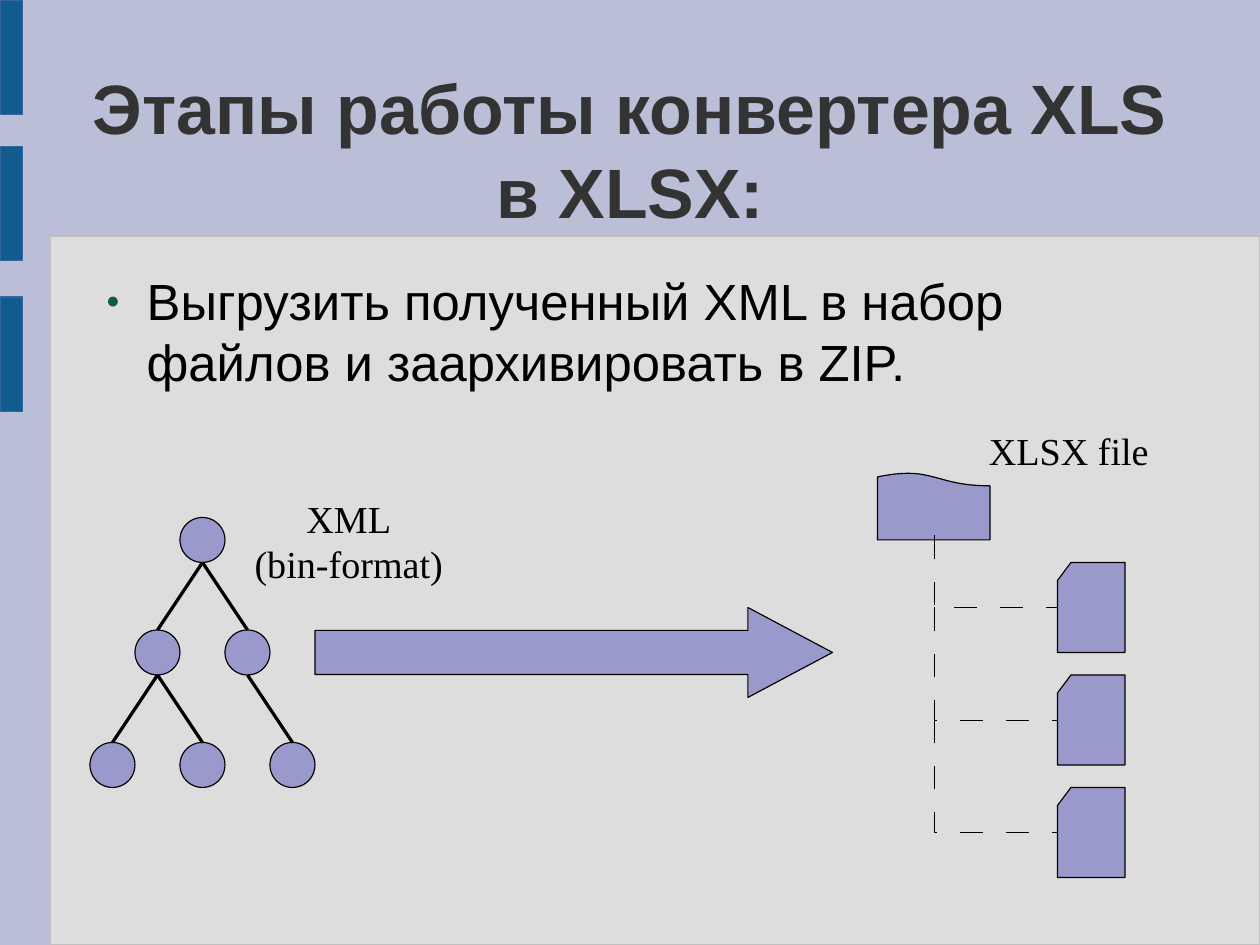
from dataclasses import dataclass

from lxml.etree import SubElement
from pptx import Presentation
from pptx.dml.color import RGBColor
from pptx.enum.shapes import MSO_CONNECTOR as Connector, MSO_SHAPE as Preset
from pptx.enum.text import MSO_ANCHOR as Anchor, MSO_AUTO_SIZE as AutoSize, PP_ALIGN as Align
from pptx.oxml.ns import qn
from pptx.util import Cm, Pt

TITLE = "Этапы работы конвертера XLS в XLSX:"
STEP = "Выгрузить полученный XML в набор файлов и заархивировать в ZIP."

# Lengths are in centimetres: left, top, width, height
TITLE_BOX = (2.06, 1.55, 23.9, 3.5)
STEP_BOX = (2.06, 6, 23.9, 3.8)
PANEL = (1.12, 5.26, 26.88, 15.74)
SIDE_BARS = [(0, top, 0.5, 2.54) for top in (0, 3.25, 6.6)]
LABELS = [
    ("XML\v(bin-format)", (5, 11, 5.5, 2.3)),
    ("XLSX file", (21, 9.5, 5.5, 1.95)),
]
ARROW = (7, 13.5, 11.5, 2)
ARCHIVE = (19.5, 10.5, 2.5, 1.5)
FILE_LEFT, FILE_TOP, FILE_STEP, FILE_COUNT = 23.5, 12.5, 2.5, 3
FILE_WIDTH, FILE_HEIGHT = 1.5, 2
TRUNK_TOP = 11.9

# Tree: node name -> (column, level); columns are 1 cm apart
NODES = {"root": (2, 0), "left": (1, 1), "right": (3, 1),
         "leaf 1": (0, 2), "leaf 2": (2, 2), "leaf 3": (4, 2)}
EDGES = [("root", "left"), ("root", "right"), ("left", "leaf 1"),
         ("left", "leaf 2"), ("right", "leaf 3")]
TREE_LEFT, TREE_TOP, LEVEL_STEP, NODE_SIZE = 2, 11.5, 2.5, 1


@dataclass(frozen=True)
class Theme:
    background: str = "BABED6"
    panel: str = "DDDDDD"
    panel_line: str = "C0C0C0"
    bar: str = "125C8D"
    bar_line: str = "3465A4"
    figure: str = "9999CC"
    ink: str = "000000"
    title: str = "333333"
    bullet: str = "0E594D"
    sans: str = "Arial"
    serif: str = "Times New Roman"
    title_size: int = 44
    body_size: int = 32
    label_size: int = 24
    hairline: float = 0
    dashed_line: float = 0.25


THEME = Theme()


def color(code):
    return RGBColor.from_string(code)


def place(shape, box):
    shape.left, shape.top, shape.width, shape.height = map(Cm, box)


def add_figure(slide, preset, box, fill=THEME.figure, line=THEME.ink):
    shape = slide.shapes.add_shape(preset, *map(Cm, box))
    shape.shadow.inherit = False
    shape.fill.solid()
    shape.fill.fore_color.rgb = color(fill)
    shape.line.color.rgb = color(line)
    shape.line.width = Pt(THEME.hairline)
    return shape


def add_line(slide, kind, start, end, width=THEME.hairline):
    line = slide.shapes.add_connector(kind, *map(Cm, (*start, *end)))
    line.line.color.rgb = color(THEME.ink)
    line.line.width = Pt(width)
    SubElement(line._element.spPr, qn("a:effectLst"))
    return line


def add_dashed_elbow(slide, start, end):
    """Run down from start, then right to end."""
    middle_x, middle_y = (start[0] + end[0]) / 2, (start[1] + end[1]) / 2
    half_run, half_drop = (end[0] - start[0]) / 2, (end[1] - start[1]) / 2
    # The frame is laid out before its quarter turn, so run and drop swap
    elbow = add_line(slide, Connector.ELBOW,
                     (middle_x + half_drop, middle_y - half_run),
                     (middle_x - half_drop, middle_y + half_run), THEME.dashed_line)
    properties = elbow._element.spPr
    properties.find(qn("a:xfrm")).set("rot", "16200000")
    properties.find(qn("a:prstGeom")).set("prst", "bentConnector2")
    dashes = SubElement(properties.find(qn("a:ln")), qn("a:custDash"))
    SubElement(dashes, qn("a:ds"), d="5700000", sp="5700000")


def add_bullet(paragraph):
    properties = paragraph._p.get_or_add_pPr()
    properties.set("marL", str(Cm(1.2)))
    properties.set("indent", str(Cm(-0.9)))
    bullet_color = SubElement(properties, qn("a:buClr"))
    SubElement(bullet_color, qn("a:srgbClr"), val=THEME.bullet)
    SubElement(properties, qn("a:buSzPct"), val="45000")
    SubElement(properties, qn("a:buChar"), char="●")


def write(shape, text, font_name, size, ink=THEME.ink, bold=False,
          align=Align.CENTER, anchor=Anchor.TOP, bullet=False):
    frame = shape.text_frame
    frame.word_wrap = True
    frame.auto_size = AutoSize.NONE
    frame.vertical_anchor = anchor
    frame.margin_left = frame.margin_right = frame.margin_top = frame.margin_bottom = 0
    paragraph = frame.paragraphs[0]
    paragraph.text = text
    paragraph.alignment = align
    paragraph.space_before = Pt(0)
    if bullet:
        add_bullet(paragraph)
    font = paragraph.font
    font.name, font.size, font.bold = font_name, Pt(size), bold
    font.color.rgb = color(ink)


def add_backdrop(slide):
    slide.background.fill.solid()
    slide.background.fill.fore_color.rgb = color(THEME.background)
    backdrop = [add_figure(slide, Preset.RECTANGLE, PANEL, THEME.panel, THEME.panel_line)]
    for bar in SIDE_BARS:
        backdrop.append(add_figure(slide, Preset.RECTANGLE, bar, THEME.bar, THEME.bar_line))
    first_text = slide.shapes.title._element
    for shape in backdrop:
        first_text.addprevious(shape._element)


def add_headings(slide):
    title, body = slide.placeholders
    place(title, TITLE_BOX)
    write(title, TITLE, THEME.sans, THEME.title_size, THEME.title, bold=True,
          anchor=Anchor.MIDDLE)
    place(body, STEP_BOX)
    write(body, STEP, THEME.sans, THEME.body_size, align=Align.LEFT, bullet=True)


def add_tree(slide):
    corners = {name: (TREE_LEFT + column, TREE_TOP + level * LEVEL_STEP)
               for name, (column, level) in NODES.items()}
    for corner in corners.values():
        add_figure(slide, Preset.OVAL, (*corner, NODE_SIZE, NODE_SIZE))
    for parent, child in EDGES:
        (parent_x, parent_y), (child_x, child_y) = corners[parent], corners[child]
        add_line(slide, Connector.STRAIGHT,
                 (parent_x + NODE_SIZE / 2, parent_y + NODE_SIZE),
                 (child_x + NODE_SIZE / 2, child_y))


def add_archive(slide):
    archive = add_figure(slide, Preset.FLOWCHART_DOCUMENT, ARCHIVE)
    archive._element.spPr.find(qn("a:xfrm")).set("flipV", "1")
    trunk_x, trunk_y = ARCHIVE[0] + ARCHIVE[2] / 2, TRUNK_TOP
    for index in range(FILE_COUNT):
        top = FILE_TOP + index * FILE_STEP
        middle = top + FILE_HEIGHT / 2
        add_figure(slide, Preset.FLOWCHART_CARD, (FILE_LEFT, top, FILE_WIDTH, FILE_HEIGHT))
        add_dashed_elbow(slide, (trunk_x, trunk_y), (FILE_LEFT, middle))
        trunk_y = middle


def main():
    presentation = Presentation()
    presentation.slide_width, presentation.slide_height = Cm(28), Cm(21)
    slide = presentation.slides.add_slide(presentation.slide_layouts[1])
    add_backdrop(slide)
    add_headings(slide)
    arrow = add_figure(slide, Preset.RIGHT_ARROW, ARROW)
    arrow.adjustments[0], arrow.adjustments[1] = 0.49, 0.94
    add_tree(slide)
    add_archive(slide)
    for text, box in LABELS:
        label = slide.shapes.add_textbox(*map(Cm, box))
        write(label, text, THEME.serif, THEME.label_size)
    presentation.save("out.pptx")


if __name__ == "__main__":
    main()
